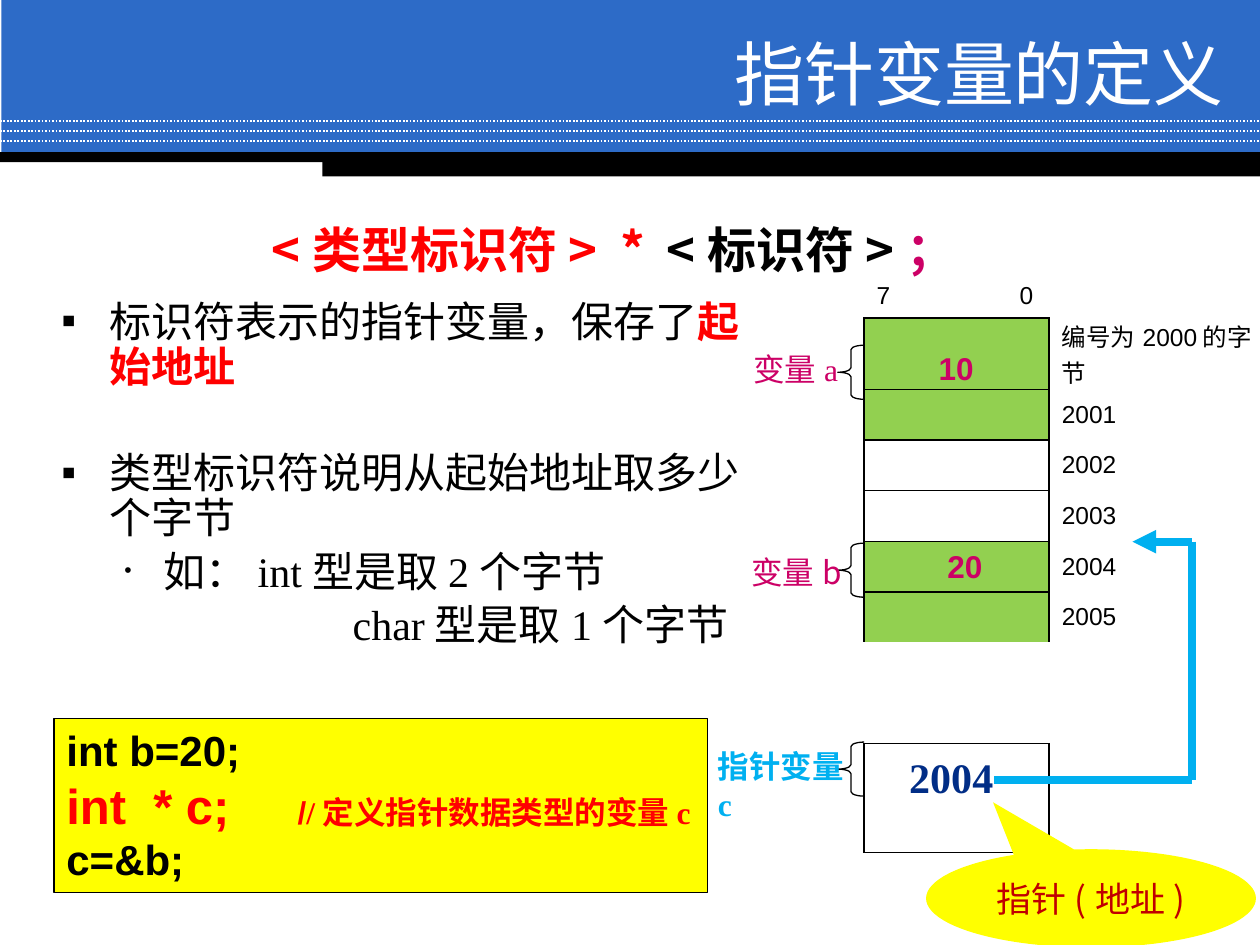
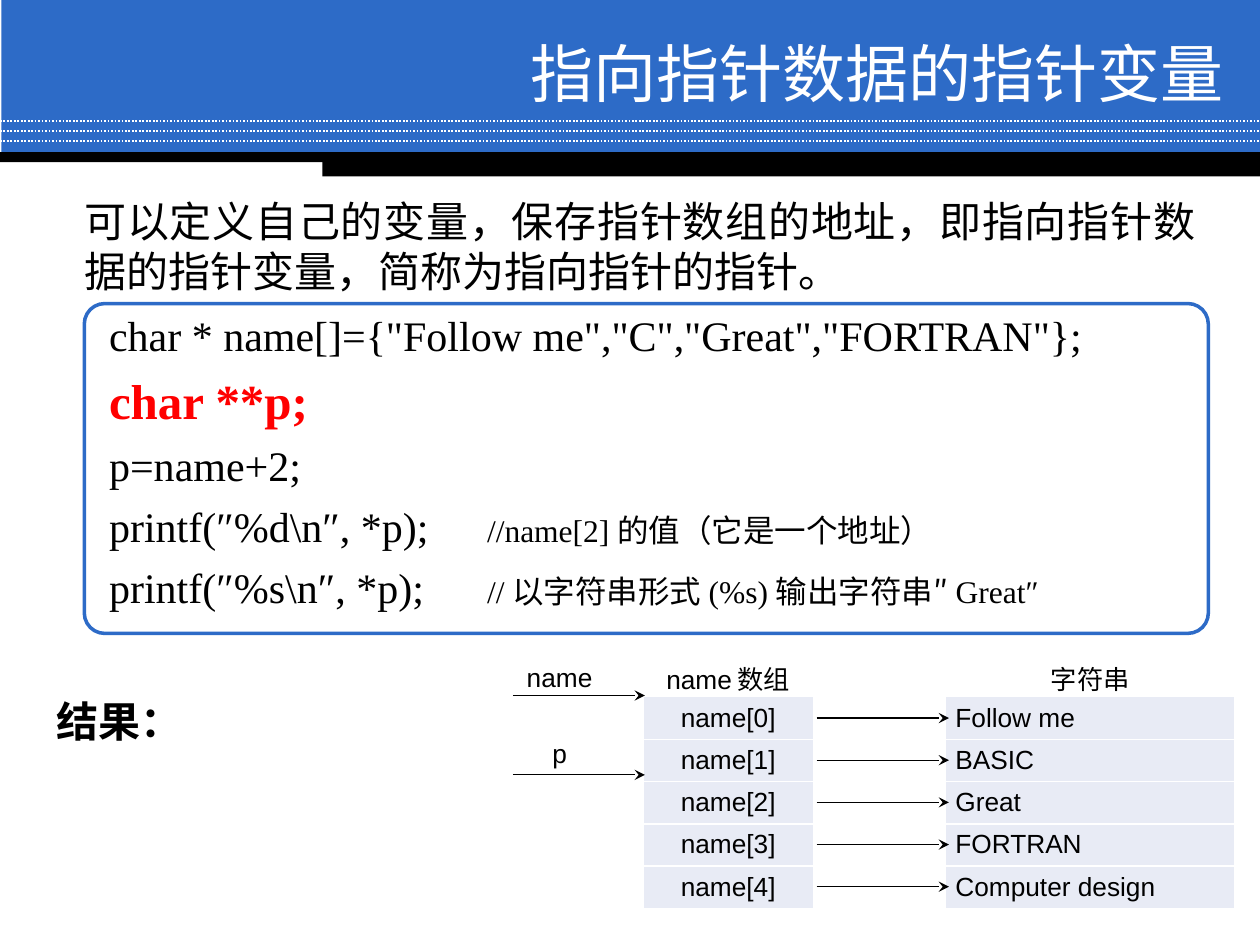
"""Builds two lecture slides on pointer variables in C."""
from typing import NamedTuple

from lxml import etree
from pptx import Presentation
from pptx import util as u
from pptx.dml import color as dml_color
from pptx.enum import dml, shapes, text
from pptx.oxml import ns

BLUE, BLACK, WHITE, RED = "2D6BC7", "000000", "FFFFFF", "FF0000"
MAGENTA, SKY, YELLOW = "CC0066", "00B0F0", "FFFF00"
GREEN, PALE = "92D050", "E8EBF5"
SANS, SERIF, CJK = "Arial", "Times New Roman", "Noto Sans CJK SC"
PLAIN_TABLE = "{2D5ABB26-0587-4C30-8999-92F81FD0307C}"
LEFT, CENTER = text.PP_ALIGN.LEFT, text.PP_ALIGN.CENTER
TOP, MIDDLE = text.MSO_ANCHOR.TOP, text.MSO_ANCHOR.MIDDLE


class Run(NamedTuple):
    """A piece of text with its look."""
    text: str
    size: float
    font: str = SANS
    color: str = BLACK
    bold: bool = False


def rgb(hex_color):
    """Turn a hex string into a colour."""
    return dml_color.RGBColor.from_string(hex_color)


def sub(parent, tag, **attributes):
    """Append a DrawingML element."""
    return etree.SubElement(parent, ns.qn(f"a:{tag}"), **attributes)


def cm(*lengths):
    """Convert centimetres to lengths."""
    return [u.Cm(length) for length in lengths]


def write(paragraph, *runs, align=LEFT, before=0, after=0, line=None,
          bullet=None, bullet_size=100, left=0, hang=0, tabs=()):
    """Fill a paragraph with formatted runs."""
    paragraph.alignment = align
    paragraph.space_before, paragraph.space_after = u.Pt(before), u.Pt(after)
    if line:
        paragraph.line_spacing = u.Pt(line)
    props = paragraph._p.get_or_add_pPr()
    if left:
        props.set("marL", str(u.Cm(left)))
        props.set("indent", str(-u.Cm(hang)))
    if bullet:
        sub(props, "buSzPct", val=str(bullet_size * 1000))
        sub(props, "buFont", typeface=SANS)
        sub(props, "buChar", char=bullet)
    if tabs:
        stops = sub(props, "tabLst")
        for stop in tabs:
            sub(stops, "tab", pos=str(u.Cm(stop)), algn="l")
    for piece in runs:
        run = paragraph.add_run()
        run.text = piece.text
        run.font.size, run.font.bold = u.Pt(piece.size), piece.bold
        run.font.color.rgb = rgb(piece.color)
        run.font.name = piece.font
        sub(run._r.get_or_add_rPr(), "ea", typeface=CJK)


def fill_frame(frame, paragraphs, anchor=TOP, margins=(0.25, 0.13, 0.25, 0.13)):
    """Write paragraphs, given as (runs, options), into a text frame."""
    frame.word_wrap = True
    frame.auto_size = text.MSO_AUTO_SIZE.NONE
    frame.vertical_anchor = anchor
    (frame.margin_left, frame.margin_top,
     frame.margin_right, frame.margin_bottom) = cm(*margins)
    for index, (runs, options) in enumerate(paragraphs):
        paragraph = frame.add_paragraph() if index else frame.paragraphs[0]
        write(paragraph, *runs, **options)


def add_text(slide, place, *paragraphs, **options):
    """Add a text box."""
    fill_frame(slide.shapes.add_textbox(*cm(*place)).text_frame, paragraphs, **options)


def add_label(slide, place, run):
    """Add a text box that holds a single run."""
    add_text(slide, place, ([run], {}))


def add_figure(slide, kind, place, fill=None, line=None, width=0.75, adjust=()):
    """Add a preset shape without shadow."""
    figure = slide.shapes.add_shape(kind, *cm(*place))
    figure.shadow.inherit = False
    if fill:
        figure.fill.solid()
        figure.fill.fore_color.rgb = rgb(fill)
    else:
        figure.fill.background()
    if line:
        figure.line.color.rgb = rgb(line)
        figure.line.width = u.Pt(width)
    else:
        figure.line.fill.background()
    for index, value in enumerate(adjust):
        figure.adjustments[index] = value
    return figure


def add_line(slide, ends, color=BLACK, width=0.75, dash=None, head=None):
    """Add a straight line, with an arrowhead at its end if asked."""
    line = slide.shapes.add_connector(shapes.MSO_CONNECTOR.STRAIGHT, *cm(*ends))
    line.line.color.rgb = rgb(color)
    line.line.width = u.Pt(width)
    if dash:
        line.line.dash_style = dash
    if head:
        sub(line.get_or_add_ln(), "tailEnd", type=head)
    sub(line.element.spPr, "effectLst")


def add_grid(slide, left, top, columns, rows):
    """Add an unstyled table with the given column widths and row heights."""
    frame = slide.shapes.add_table(len(rows), len(columns),
                                   *cm(left, top, sum(columns), sum(rows)))
    frame.element.xpath(".//a:tableStyleId")[0].text = PLAIN_TABLE
    table = frame.table
    table.first_row = table.horz_banding = False
    for column, width in zip(table.columns, columns):
        column.width = u.Cm(width)
    for row, height in zip(table.rows, rows):
        row.height = u.Cm(height)
    for cell in table.iter_cells():
        cell.margin_top = cell.margin_bottom = 0
        cell.vertical_anchor = MIDDLE
    return table


def style_cell(cell, fill=None, edges="", color=BLACK):
    """Draw the named edges (L, R, T, B) of a cell, clear the others and fill it."""
    props = cell._tc.get_or_add_tcPr()
    for edge in "LRTB":
        line = sub(props, f"ln{edge}", w=str(u.Pt(1)))
        if edge in edges:
            sub(sub(line, "solidFill"), "srgbClr", val=color)
        else:
            sub(line, "noFill")
    if fill:
        cell.fill.solid()
        cell.fill.fore_color.rgb = rgb(fill)
    else:
        cell.fill.background()


def add_bands(slide):
    """Draw the header bands and move them to the slide's layout."""
    rectangle = shapes.MSO_SHAPE.RECTANGLE
    title = slide.shapes.title.element
    add_figure(slide, rectangle, (0.03, 0, 25.37, 3.12), BLUE)
    for index in range(3):
        y = 2.44 + 0.2 * index
        add_line(slide, (0, y, 25.4, y), WHITE, 1, dml.MSO_LINE.ROUND_DOT)
    add_figure(slide, rectangle, (0, 3.07, 25.4, 0.2), BLACK)
    add_figure(slide, rectangle, (6.5, 3.15, 18.9, 0.41), BLACK)
    layout_tree = slide.slide_layout.shapes.element
    bands = [shape.element for shape in slide.shapes if shape.element is not title]
    for index, band in enumerate(bands):
        band.xpath(".//p:cNvPr")[0].set("id", str(100 + index))
        layout_tree.insert(2 + index, band)


def add_titled_slide(deck, heading, size):
    """Add a slide with its heading in the blue band."""
    slide = deck.slides.add_slide(deck.slide_layouts[5])
    title = slide.shapes.title
    title.left, title.top, title.width, title.height = cm(7.34, 0.72, 17.58, 1.47)
    fill_frame(title.text_frame,
               [([Run(heading, size, CJK, WHITE)], {"align": text.PP_ALIGN.RIGHT})],
               anchor=MIDDLE)
    return slide


def add_memory(slide):
    """Draw the memory cells, their addresses and the pointer cell."""
    memory = add_grid(slide, 17.42, 5.52, (3.73, 4.8),
                      (0.89, 1.42, *[1.02] * 7, 1.17, 1.02))
    edges = {0: "B", **dict.fromkeys(range(1, 6), "LRTB"), 6: "LRT",
             8: "B", 9: "LRT", 10: "LRB"}
    for row in range(len(memory.rows)):
        style_cell(memory.cell(row, 0), GREEN if row in (1, 2, 5, 6) else None,
                   edges.get(row, ""))
    write(memory.cell(0, 0).text_frame.paragraphs[0], Run("7\t0", 14), tabs=[2.88])
    addresses = ["编号为2000的字节", *map(str, range(2001, 2006))]
    for row, address in enumerate(addresses, 1):
        cell = memory.cell(row, 1)
        cell.margin_right = u.Cm(0.4)
        write(cell.text_frame.paragraphs[0], Run(address, 14))

    add_label(slide, (18.67, 6.91, 1.57, 1.02), Run("10", 18, SANS, MAGENTA, True))
    add_label(slide, (18.85, 10.9, 1.57, 1.02), Run("20", 18, SANS, MAGENTA, True))
    add_label(slide, (18.08, 15.01, 2.41, 1.27), Run("2004", 24, SERIF, "012D86", True))
    for y in (6.96, 10.95, 14.96):
        add_figure(slide, shapes.MSO_SHAPE.LEFT_BRACE, (16.89, y, 0.53, 1.09),
                   line=BLACK, adjust=(0.168, 0.5))
    add_label(slide, (14.94, 6.93, 2.59, 1.02), Run("变量a", 18, SERIF, MAGENTA))
    add_label(slide, (14.9, 11.02, 2.59, 1.02), Run("变量b", 18, CJK, MAGENTA))
    add_label(slide, (14.22, 14.93, 3.4, 1.02), Run("指针变量c", 18, SERIF, SKY, True))

    add_line(slide, (24.03, 10.92, 22.83, 10.92), SKY, 4.5, head="triangle")
    add_line(slide, (24.03, 10.92, 24.03, 15.72), SKY, 4.5)
    add_line(slide, (20.04, 15.72, 24.03, 15.72), SKY, 4.5)
    callout = add_figure(slide, shapes.MSO_SHAPE.OVAL_CALLOUT,
                         (18.67, 17.12, 6.65, 1.98), YELLOW, adjust=(-0.297, -0.978))
    fill_frame(callout.text_frame,
               [([Run("指针(地址)", 20, CJK, "C00000")], {"align": CENTER})],
               anchor=MIDDLE)


def build_definition(deck):
    """Slide on how a pointer variable is defined."""
    slide = add_titled_slide(deck, "指针变量的定义", 40)
    add_bands(slide)
    point = {"bullet": "▪", "left": 0.97, "hang": 0.97, "line": 25.7}
    add_text(slide, (0.99, 5.93, 14.71, 7.57),
             ([Run("标识符表示的指针变量，保存了", 24, SERIF),
               Run("起始地址", 24, SERIF, RED, True)], point),
             ([Run("类型标识符说明从起始地址取多少个字节", 24, SERIF)],
              {**point, "before": 35}),
             ([Run("如：int型是取2个字节", 24, SERIF)],
              {"bullet": "•", "bullet_size": 50, "left": 2.06, "hang": 0.79,
               "line": 25.7, "before": 5}),
             ([Run("char型是取1个字节", 24, SERIF)],
              {"left": 5.87, "line": 25.7, "before": 5}))
    code = add_figure(slide, shapes.MSO_SHAPE.RECTANGLE, (1.09, 14.48, 13.18, 3.51),
                      YELLOW, BLACK)
    fill_frame(code.text_frame, [
        ([Run("int b=20;", 24, bold=True)], {}),
        ([Run("int  * c;\t", 28, SANS, RED, True), Run("/", 18, SANS, RED, True),
          Run("/定义指针数据类型的变量c", 18, SERIF, RED, True)], {"tabs": [4.66]}),
        ([Run("c=&b;", 24, bold=True)], {})])
    add_text(slide, (5.23, 4.29, 15.85, 1.45),
             ([Run("<类型标识符>\t*\t", 28, CJK, RED, True),
               Run("<标识符>", 28, CJK, BLACK, True),
               Run("；", 28, CJK, MAGENTA, True)], {"tabs": [7.02, 7.96]}))
    add_memory(slide)


def add_name_array(slide):
    """Draw the name array, the strings and the arrows between them."""
    strings = ["Follow me", "BASIC", "Great", "FORTRAN", "Computer design"]
    content = [("name", "name数组", "", "字符串")]
    content += [("p" if index == 1 else "", f"name[{index}]", "", string)
                for index, string in enumerate(strings)]
    top, header, step = 13.13, 0.92, 0.85
    array = add_grid(slide, 9.58, top, (3.4, 3.4, 2.7, 5.8),
                     (header, *[step] * len(strings)))
    for row, values in enumerate(content):
        for column, value in enumerate(values):
            cell = array.cell(row, column)
            cell.margin_left = cell.margin_right = u.Cm(0.18)
            if row and column in (1, 3):
                edges = ("T" if row > 1 else "") + ("B" if row < len(strings) else "")
                style_cell(cell, PALE, edges, WHITE)
            else:
                style_cell(cell)
                cell.margin_top = u.Cm(0 if row else 0.15)
                cell.vertical_anchor = TOP if row else MIDDLE
            if value:
                write(cell.text_frame.paragraphs[0], Run(value, 15),
                      align=LEFT if row and column == 3 else CENTER)
    for index in range(len(strings)):
        y = top + header + step * (index + 0.5)
        add_line(slide, (16.46, y, 19.13, y), head="stealth")
    for y in (14.02, 15.62):
        add_line(slide, (10.34, y, 13, y), head="stealth")


def build_pointer_to_pointer(deck):
    """Slide on pointers to pointers."""
    slide = add_titled_slide(deck, "指向指针数据的指针变量", 36)
    add_name_array(slide)
    intro = "可以定义自己的变量，保存指针数组的地址，即指向指针数据的指针变量，简称为指向指针的指针。"
    add_text(slide, (1.5, 3.74, 22.81, 2.34),
             ([Run(intro, 24, CJK)], {"align": text.PP_ALIGN.JUSTIFY, "line": 28.6}),
             margins=(0.2, 0.2, 0.2, 0.2))
    code = add_figure(slide, shapes.MSO_SHAPE.ROUNDED_RECTANGLE,
                      (1.7, 6.12, 22.66, 6.65), WHITE, BLUE, 2, (0.062,))
    statements = [
        [Run('char * name[]={"Follow me","C","Great","FORTRAN"};', 24, SERIF)],
        [Run("char **p;", 28, SERIF, RED, True)],
        [Run("p=name+2;", 24, SERIF)],
        [Run("printf(″%d\\n″, *p);\t", 24, SERIF),
         Run("//name[2]的值（它是一个地址）", 18, SERIF)],
        [Run("printf(″%s\\n″, *p);\t", 24, SERIF),
         Run("//以字符串形式(%s)输出字符串″Great″", 18, SERIF)]]
    fill_frame(code.text_frame,
               [(runs, {"after": 6, "tabs": [7.62]}) for runs in statements],
               anchor=MIDDLE, margins=(0.38, 0, 0.25, 0.32))
    add_label(slide, (0.89, 13.89, 4.19, 1.27), Run("结果：", 24, bold=True))


def main():
    """Build and save the deck."""
    deck = Presentation()
    deck.slide_width, deck.slide_height = cm(25.4, 19.05)
    build_definition(deck)
    build_pointer_to_pointer(deck)
    deck.save("out.pptx")


if __name__ == "__main__":
    main()
